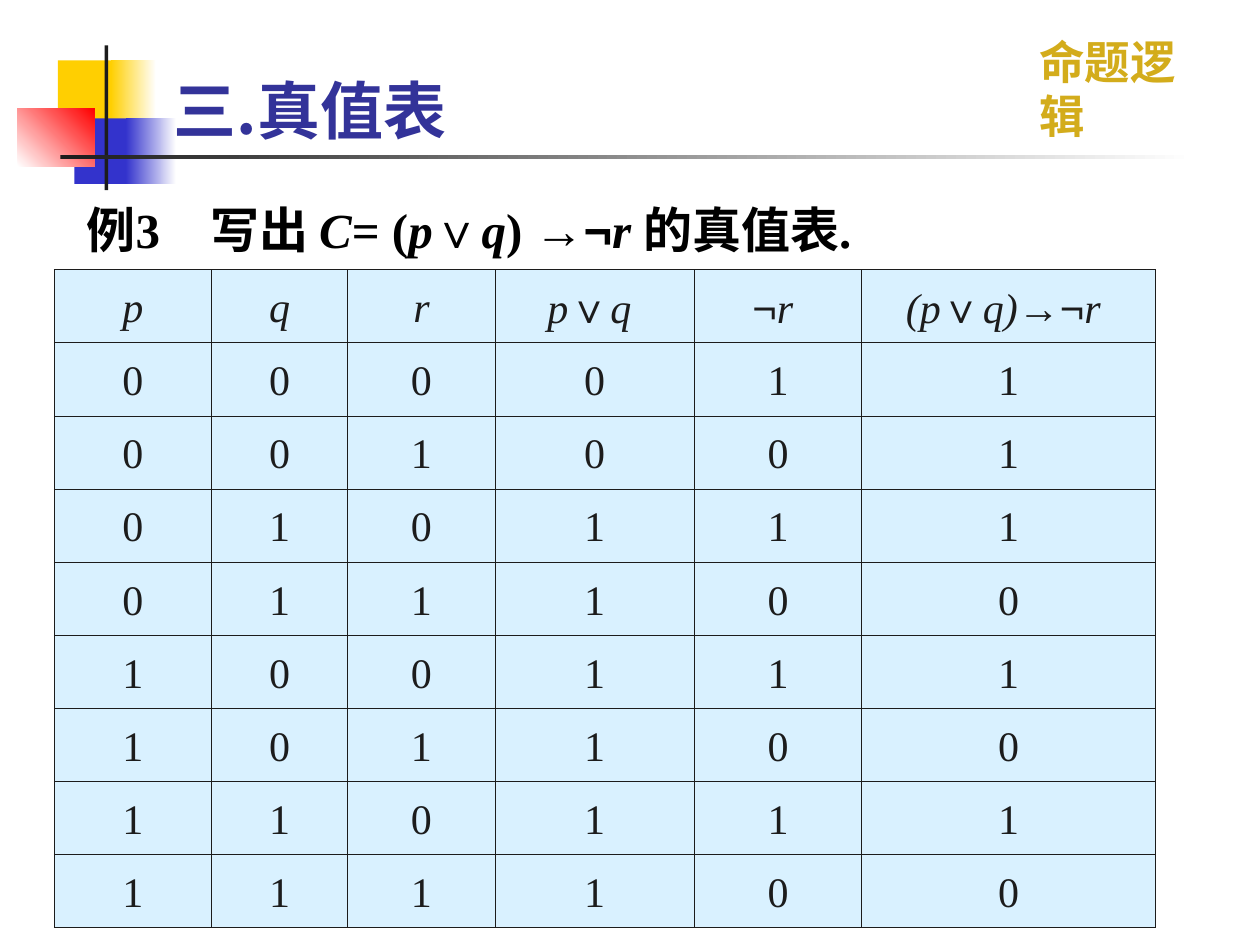
from itertools import groupby, product

from lxml import etree
from pptx import Presentation
from pptx.dml.color import RGBColor
from pptx.enum import shapes, text
from pptx.oxml import ns
from pptx import util as u

COLORS = {
    "yellow": "FFCF01", "blue": "3333CC", "red": "FF0000", "white": "FFFFFF",
    "ink": "1C1C1C", "black": "000000", "gold": "D3AC1B", "title": "333399",
    "cell": "D9F1FF",
}
SERIF, SYMBOL, CJK = "Times New Roman", "Arial", "Noto Sans CJK SC"
OPERATORS = "∨→¬"


def rgb(name):
    return RGBColor.from_string(COLORS[name])


def add_runs(p, content, size=24, font=SERIF, color="ink", bold=False, italic=False):
    for is_operator, chars in groupby(content, lambda c: c in OPERATORS):
        r = p.add_run()
        r.text = "".join(chars)
        f = r.font
        f.size, f.bold, f.italic = u.Pt(size), bold, italic
        f.name = SYMBOL if is_operator else font
        f.color.rgb = rgb(color)
        etree.SubElement(r._r.get_or_add_rPr(), ns.qn("a:ea"), typeface=CJK)


class Deck:
    def __init__(self):
        self.prs = Presentation()
        self.prs.slide_width, self.prs.slide_height = u.Inches(10), u.Inches(7.5)
        self.s = self.prs.slides.add_slide(self.prs.slide_layouts[6])

    def rect(self, box, start, end=None, angle=0):
        sp = self.s.shapes.add_shape(shapes.MSO_SHAPE.RECTANGLE, *map(u.Inches, box))
        sp.shadow.inherit = False
        sp.line.fill.background()
        if end:
            sp.fill.gradient()
            sp.fill.gradient_angle = angle
            for stop, name in zip(sp.fill.gradient_stops, (start, end)):
                stop.color.rgb = rgb(name)
        else:
            sp.fill.solid()
            sp.fill.fore_color.rgb = rgb(start)

    def text(self, box, parts, anchor=text.MSO_ANCHOR.TOP, wrap=True,
             spacing=None, tab=None, **fmt):
        sp = self.s.shapes.add_textbox(*map(u.Inches, box))
        tf = sp.text_frame
        tf.word_wrap, tf.vertical_anchor = wrap, anchor
        p = tf.paragraphs[0]
        if spacing:
            p.line_spacing = spacing
        if tab:
            tabs = etree.SubElement(p._p.get_or_add_pPr(), ns.qn("a:tabLst"))
            etree.SubElement(tabs, ns.qn("a:tab"), pos=str(u.Inches(tab)), algn="l")
        for content, italic in parts:
            add_runs(p, content, italic=italic, **fmt)

    def border(self, cell):
        for side in ("lnL", "lnR", "lnT", "lnB"):
            ln = etree.SubElement(cell._tc.get_or_add_tcPr(), ns.qn("a:" + side),
                                  w=str(u.Pt(0.45)))
            fill = etree.SubElement(ln, ns.qn("a:solidFill"))
            etree.SubElement(fill, ns.qn("a:srgbClr"), val=COLORS["ink"])

    def table(self, left, top, widths, row_height, rows):
        size = sum(widths), row_height * len(rows)
        frame = self.s.shapes.add_table(len(rows), len(widths),
                                        *map(u.Inches, (left, top, *size)))
        table = frame.table
        for column, width in zip(table.columns, widths):
            column.width = u.Inches(width)
        for i, row in enumerate(rows):
            table.rows[i].height = u.Inches(row_height)
            for j, value in enumerate(row):
                cell = table.cell(i, j)
                self.border(cell)
                cell.fill.solid()
                cell.fill.fore_color.rgb = rgb("cell")
                p = cell.text_frame.paragraphs[0]
                p.alignment, p.line_spacing = text.PP_ALIGN.CENTER, 1.2
                add_runs(p, str(value), italic=i == 0)


def truth_rows():
    rows = [["p", "q", "r", "p∨q ", "¬r ", "(p∨q)→¬r "]]
    for p, q, r in product((0, 1), repeat=3):
        either, negated = p | q, 1 - r
        rows.append([p, q, r, either, negated, (1 - either) | negated])
    return rows


def main():
    deck = Deck()
    deck.rect((0.46, 0.48, 0.48, 0.52), "yellow")
    deck.rect((0.88, 0.48, 0.36, 0.52), "yellow", "white")
    deck.rect((0.59, 0.94, 0.46, 0.52), "blue")
    deck.rect((1, 0.94, 0.4, 0.52), "blue", "white")
    deck.rect((0.14, 0.86, 0.61, 0.46), "white", "red", angle=45)
    deck.rect((0.83, 0.36, 0.03, 1.15), "ink")
    deck.rect((0.48, 1.23, 9, 0.03), "ink", "white")

    deck.text((8.15, 0.22, 1.64, 0.54), [("命题逻辑", False)], wrap=False,
              size=26, font="Lato", color="gold", bold=True)
    deck.text((1.28, -0.03, 9, 1.25), [("三.真值表", False)],
              anchor=text.MSO_ANCHOR.BOTTOM, size=36, font=CJK, color="title", bold=True)
    formula = [("例3\t写出 ", False), ("C", True), ("= (", False), ("p", True),
               ("∨", False), ("q", True), (") →¬", False), ("r ", True),
               ("的真值表.", False)]
    deck.text((0.59, 1.49, 7.82, 0.69), formula, spacing=1.1, tab=0.98,
              size=28, color="black", bold=True)
    deck.table(0.43, 2.14, (1.25, 1.08, 1.17, 1.58, 1.33, 2.33), 0.58, truth_rows())
    deck.prs.save("out.pptx")


if __name__ == "__main__":
    main()
